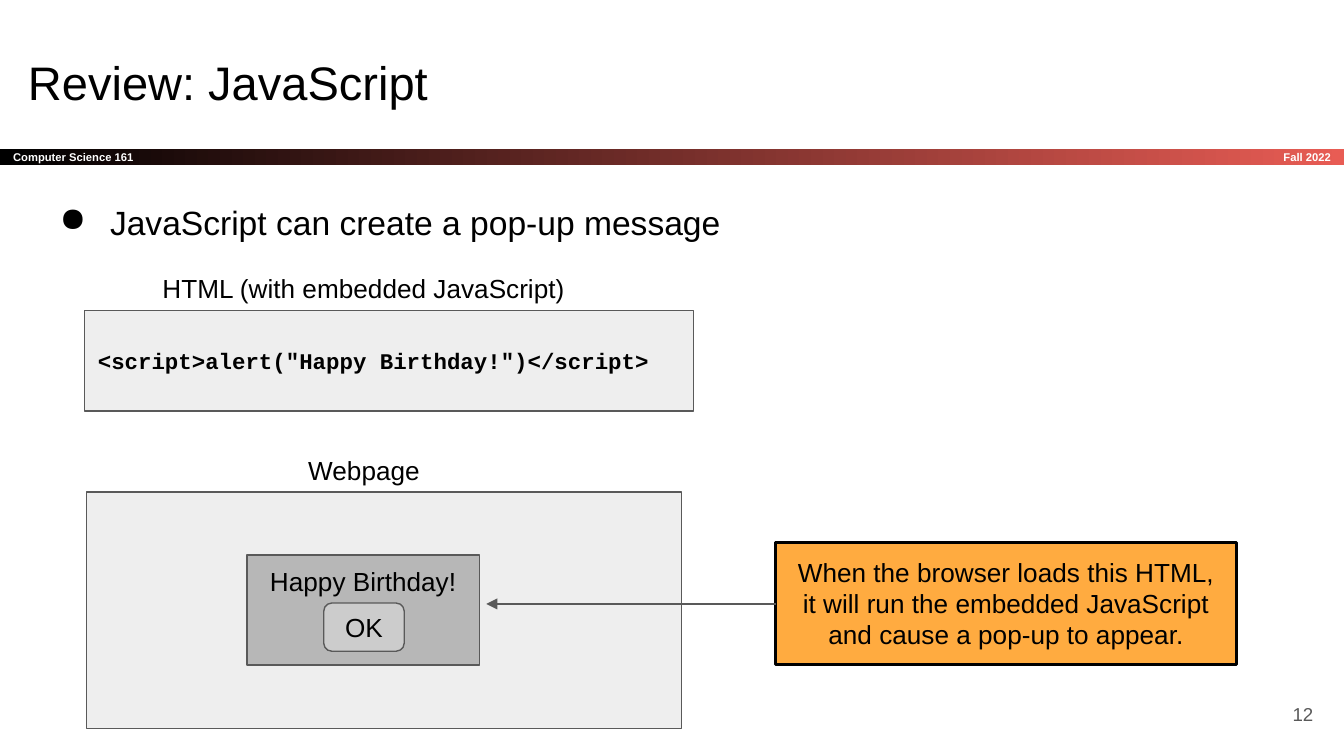
from lxml.etree import SubElement
from pptx import Presentation
from pptx.dml.color import RGBColor
from pptx.enum.shapes import MSO_CONNECTOR, MSO_SHAPE
from pptx.enum.text import MSO_ANCHOR, PP_ALIGN
from pptx.oxml.ns import qn
from pptx.util import Cm, Pt

LEFT, MID, RIGHT = PP_ALIGN.LEFT, PP_ALIGN.CENTER, PP_ALIGN.RIGHT
BLACK, WHITE, GREY, PALE = "000000", "FFFFFF", "595959", "EEEEEE"

deck = Presentation()
deck.slide_width, deck.slide_height = Cm(25.4), Cm(14.29)
slide = deck.slides.add_slide(deck.slide_layouts[6])
shapes = slide.shapes


def color(code):
    return RGBColor.from_string(code)


def box(place, text="", size=14, align=MID, ink=BLACK, font="Arial", bold=False,
        middle=False, fill=None, line=GREY, width=0.75, kind=MSO_SHAPE.RECTANGLE):
    """Add a filled shape, or a plain text box when there is no fill."""
    place = [Cm(n) for n in place]
    if fill:
        shape = shapes.add_shape(kind, *place)
        shape.shadow.inherit = False
        shape.fill.solid()
        shape.fill.fore_color.rgb = color(fill)
        shape.line.color.rgb = color(line)
        shape.line.width = Pt(width)
    else:
        shape = shapes.add_textbox(*place)
    frame = shape.text_frame
    frame.word_wrap = True
    frame.margin_left = frame.margin_right = Cm(0.25)
    frame.margin_top = frame.margin_bottom = Cm(0.25)
    frame.vertical_anchor = MSO_ANCHOR.MIDDLE if middle else MSO_ANCHOR.TOP
    frame.text = text
    para = frame.paragraphs[0]
    para.alignment = align
    for run in para.runs:
        run.font.name, run.font.size, run.font.bold = font, Pt(size), bold
        run.font.color.rgb = color(ink)
    return shape


# Header band
band = box((0, 2.82, 25.4, 0.3), "Computer Science 161", 6, LEFT, WHITE,
           bold=True, middle=True, fill=BLACK)
band.line.fill.background()
band.fill.gradient()
band.fill.gradient_angle = 0
for stop, code in zip(band.fill.gradient_stops, (BLACK, "E85C54")):
    stop.color.rgb = color(code)
box((21.18, 2.82, 4.22, 0.3), "Fall 2022", 6, RIGHT, WHITE, bold=True, middle=True)

# Title, bullet and page number
box((0.28, 0.76, 23.67, 1.6), "Review: JavaScript", 25.2, LEFT)
point = box((0.56, 3.45, 23.67, 1.6), "JavaScript can create a pop-up message", 18, LEFT)
para = point.text_frame.paragraphs[0]
para.line_spacing = 1.15
props = para._p.get_or_add_pPr()
props.set("marL", str(Cm(1.27)))
props.set("indent", str(Cm(-0.95)))
SubElement(props, qn("a:buChar")).set("char", "●")
box((23.55, 12.95, 1.52, 1.09), "12", 10, RIGHT, GREY, middle=True)

# HTML source
box((1.6, 5.87, 11.51, 1.9), '<script>alert("Happy Birthday!")</script>', 12, LEFT,
    font="Courier New", bold=True, middle=True, fill=PALE)
box((1.63, 4.9, 10.49, 1.12), "HTML (with embedded JavaScript)")

# Webpage with its pop-up
box((1.63, 9.3, 11.25, 4.47), fill=PALE)
box((1.65, 8.33, 10.46, 1.12), "Webpage")
popup = box((4.67, 10.49, 4.39, 2.08), "Happy Birthday!", fill="B7B7B7")
popup.text_frame.margin_top = Cm(0.19)
box((6.12, 11.4, 1.52, 0.91), "OK", middle=True, fill="CCCCCC",
    kind=MSO_SHAPE.ROUNDED_RECTANGLE)

# Note and its arrow
note = box((14.66, 10.26, 8.71, 2.31),
           "When the browser loads this HTML, it will run the embedded JavaScript "
           "and cause a pop-up to appear.", fill="FFAB40", line=BLACK, width=1.5)
y = note.top + note.height // 2
arrow = shapes.add_connector(MSO_CONNECTOR.STRAIGHT, note.left, y, Cm(9.19), y)
arrow.begin_connect(note, 1)
arrow.line.color.rgb = color(GREY)
arrow.line.width = Pt(1.5)
SubElement(arrow.line._get_or_add_ln(), qn("a:tailEnd")).set("type", "triangle")
SubElement(arrow._element.spPr, qn("a:effectLst"))

deck.save("out.pptx")
